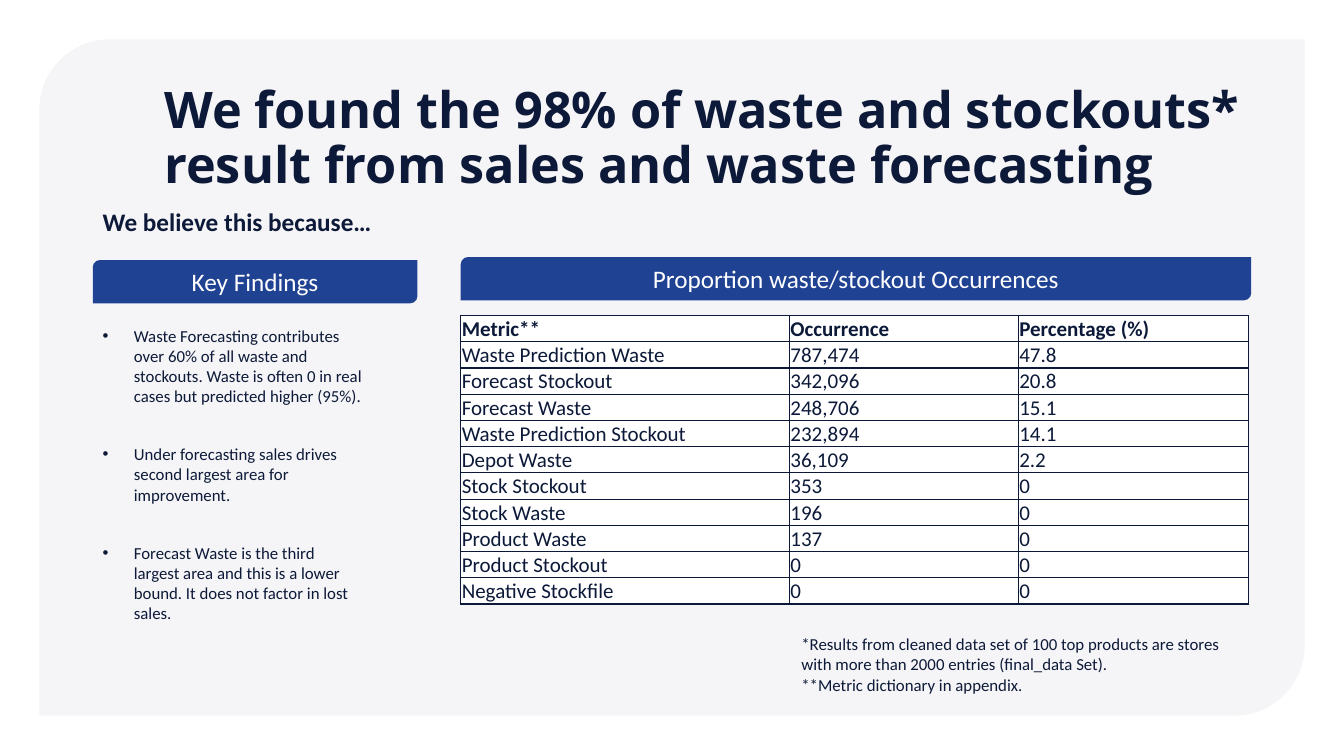
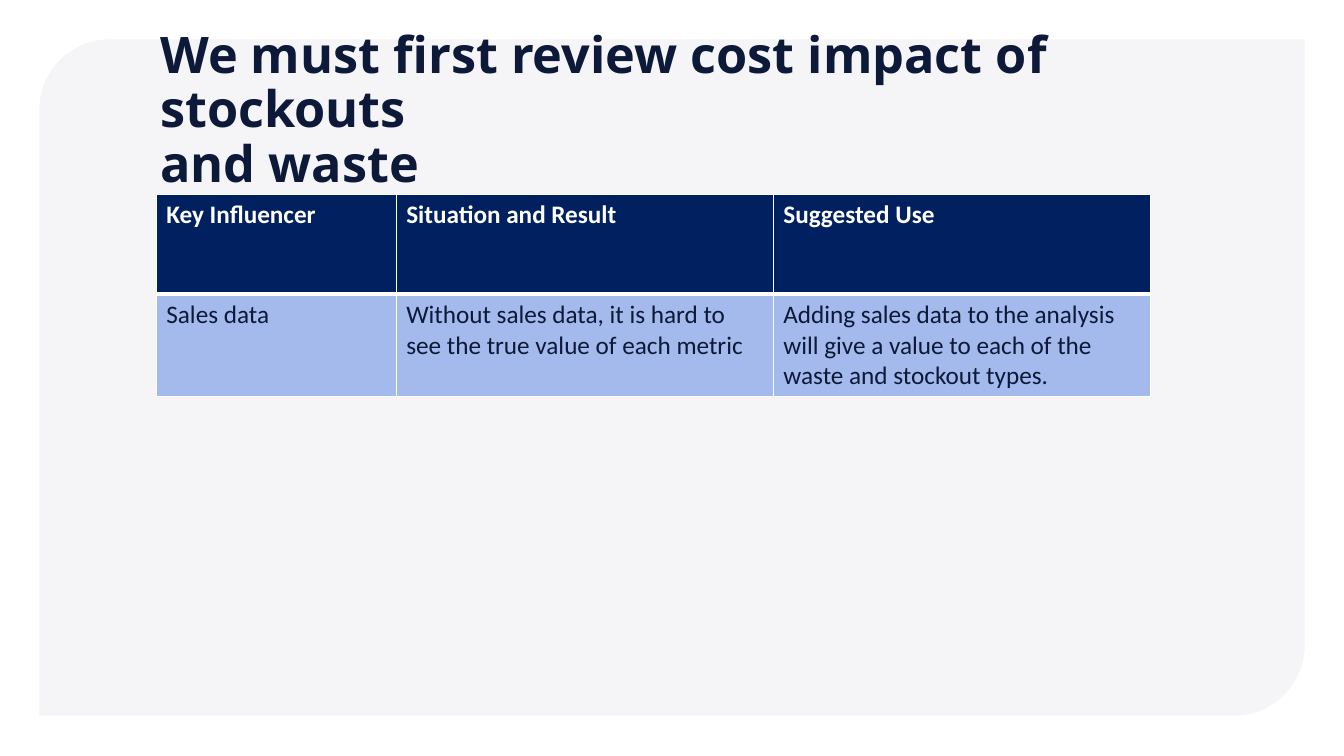
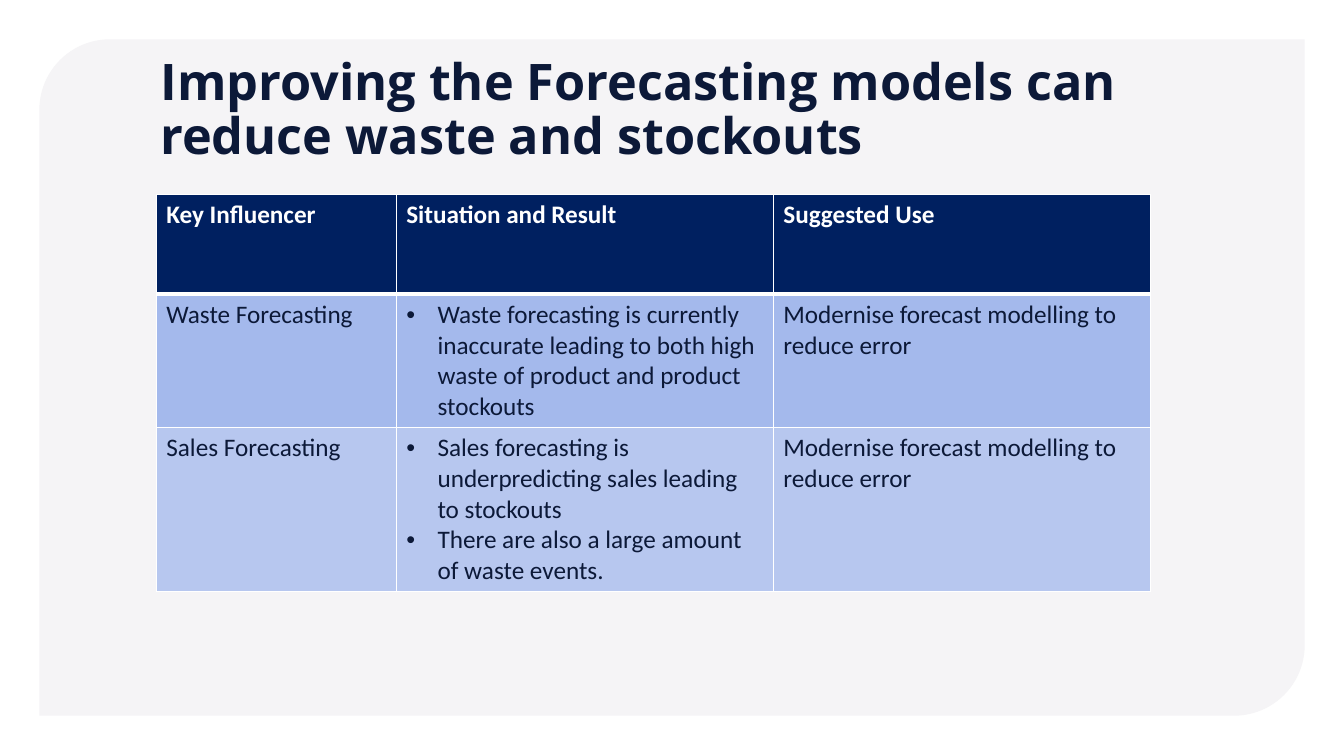
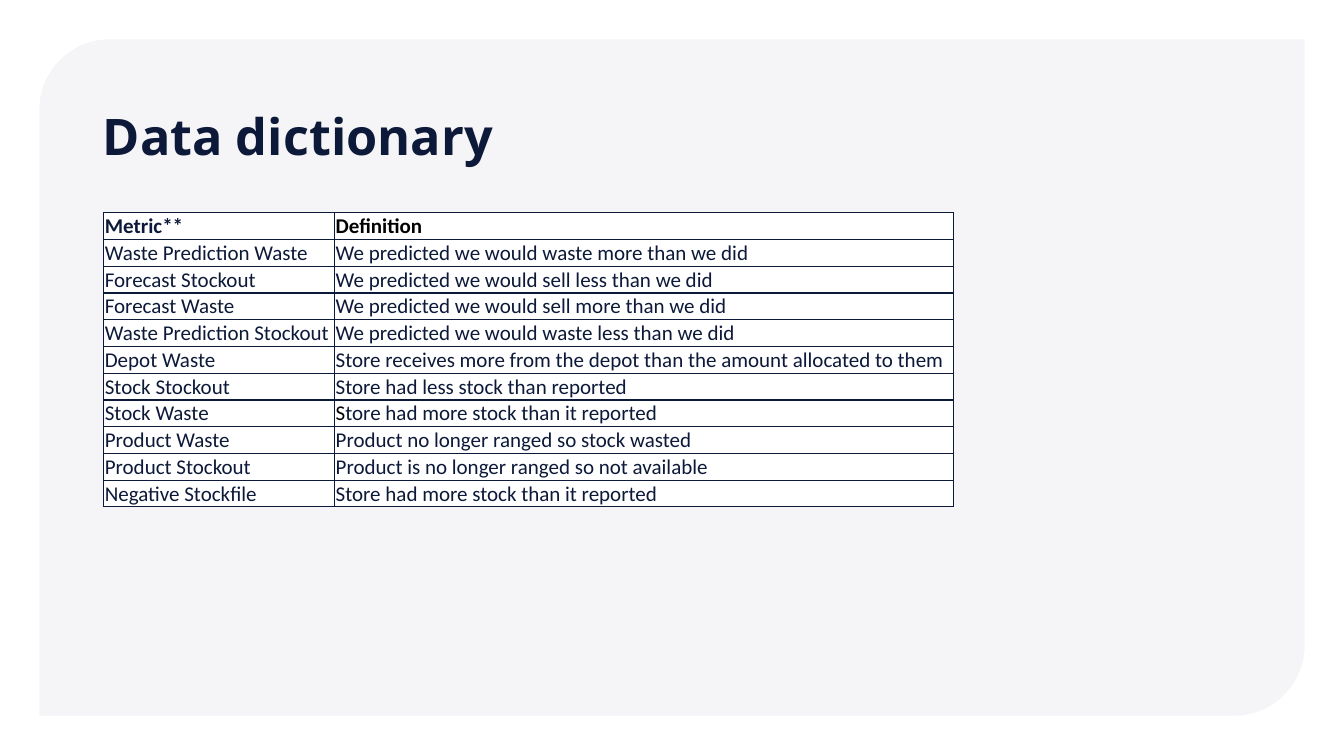
from dataclasses import dataclass
from typing import NamedTuple

from lxml.etree import SubElement
from pptx import Presentation
from pptx.dml.color import RGBColor
from pptx.enum.shapes import MSO_SHAPE
from pptx.enum.text import MSO_ANCHOR, MSO_AUTO_SIZE, PP_ALIGN
from pptx.oxml.ns import qn
from pptx.presentation import Presentation as Deck
from pptx.shapes.autoshape import Shape
from pptx.slide import Slide
from pptx.text.text import TextFrame
from pptx.util import Emu, Pt

PX = 9144  # 100 px to the inch


@dataclass(frozen=True)
class Theme:
    ink: str = "0C1938"
    black: str = "000000"
    white: str = "FFFFFF"
    panel: str = "F5F4F6"
    tab: str = "204293"
    head: str = "002060"
    bands: tuple[str, ...] = ("A4B9EC", "B7C7EF")
    face: str = "Open Sans"
    body: str = "Calibri"
    title: int = 36
    large: int = 18
    cell: int = 15
    small: int = 12


T = Theme()


class Box(NamedTuple):
    x: int
    y: int
    w: int
    h: int

    def emu(self) -> list[Emu]:
        return [px(v) for v in self]


class Run(NamedTuple):
    text: str
    color: str | None = None


# A paragraph is a string or a tuple of runs; a list holds paragraphs
Para = str | tuple[Run, ...]
Text = Para | list[Para]


@dataclass(frozen=True)
class Look:
    """Format of one kind of table."""
    size: int
    head: str
    title: str  # header text colour
    bands: tuple[str, ...]
    edge: str
    rule: int  # line under the header, in points
    pad: tuple[int, int, int, int]
    anchor: MSO_ANCHOR
    align: PP_ALIGN


GRID = Look(T.cell, T.white, T.ink, (T.white,), T.ink, 1, (1, 1, 1, 0),
            MSO_ANCHOR.BOTTOM, PP_ALIGN.JUSTIFY)
BAND = Look(T.large, T.head, T.white, T.bands, T.white, 3, (10, 5, 10, 5),
            MSO_ANCHOR.TOP, PP_ALIGN.LEFT)


def px(n: int) -> Emu:
    return Emu(n * PX)


def rgb(code: str) -> RGBColor:
    return RGBColor.from_string(code)


# Text
def put(frame: TextFrame, text: Text, *, size: int = T.small, font: str = T.body,
        color: str = T.ink, bold: bool = False, align: PP_ALIGN = PP_ALIGN.LEFT,
        anchor: MSO_ANCHOR = MSO_ANCHOR.TOP, line: float | None = None,
        after: int = 0, bullet: bool = False) -> None:
    frame.word_wrap = True
    frame.vertical_anchor = anchor
    paras = text if isinstance(text, list) else [text]
    for n, item in enumerate(paras):
        para = frame.add_paragraph() if n else frame.paragraphs[0]
        para.alignment = align
        para.space_before, para.space_after = Pt(0), Pt(after)
        if line:
            para.line_spacing = line
        if bullet:
            prop = para._p.get_or_add_pPr()
            prop.set("marL", str(px(31)))
            prop.set("indent", str(px(-31)))
            SubElement(prop, qn("a:buFont"), typeface="Arial")
            SubElement(prop, qn("a:buChar"), char="•")
        for part in item if isinstance(item, tuple) else (Run(item),):
            run = para.add_run()
            run.text = part.text
            run.font.name, run.font.size, run.font.bold = font, Pt(size), bold
            run.font.color.rgb = rgb(part.color or color)


def note(page: Slide, box: Box, text: Text, *, bold: bool = False,
         size: int = T.small, after: int = 0, bullet: bool = False) -> None:
    frame = page.shapes.add_textbox(*box.emu()).text_frame
    put(frame, text, size=size, bold=bold, after=after, bullet=bullet)


# Shapes
def plate(page: Slide, box: Box, color: str) -> Shape:
    shape = page.shapes.add_shape(MSO_SHAPE.ROUND_2_DIAG_RECTANGLE, *box.emu())
    shape.shadow.inherit = False
    shape.fill.solid()
    shape.fill.fore_color.rgb = rgb(color)
    shape.line.fill.background()
    return shape


def tab(page: Slide, box: Box, text: str) -> None:
    put(plate(page, box, T.tab).text_frame, text, size=T.large, color=T.white,
        align=PP_ALIGN.CENTER, anchor=MSO_ANCHOR.MIDDLE)


# Tables
def table(page: Slide, x: int, y: int, cols: tuple[int, ...],
          highs: tuple[int, ...], rows: list[tuple[Text, ...]], look: Look) -> None:
    box = Box(x, y, sum(cols), sum(highs))
    grid = page.shapes.add_table(len(rows), len(cols), *box.emu()).table
    grid.horz_banding = False
    for col, wide in zip(grid.columns, cols):
        col.width = px(wide)
    for r, (row, high) in enumerate(zip(rows, highs)):
        grid.rows[r].height = px(high)
        top = r == 0
        fill = look.head if top else look.bands[(r - 1) % len(look.bands)]
        for c, text in enumerate(row):
            cell = grid.cell(r, c)
            (cell.margin_left, cell.margin_top, cell.margin_right,
             cell.margin_bottom) = map(px, look.pad)
            put(cell.text_frame, text, size=look.size, bold=top, align=look.align,
                color=look.title if top else T.ink, bullet=isinstance(text, list))
            cell.vertical_anchor = look.anchor
            prop = cell._tc.get_or_add_tcPr()
            for side in "LRTB":
                rule = (side == "B" and top) or (side == "T" and r == 1)
                wide = Pt(look.rule if rule else 1)
                edge = SubElement(prop, qn(f"a:ln{side}"), w=str(wide))
                paint = SubElement(edge, qn("a:solidFill"))
                SubElement(paint, qn("a:srgbClr"), val=look.edge)
            cell.fill.solid()
            cell.fill.fore_color.rgb = rgb(fill)


# Pages
def start(deck: Deck, x: int, y: int, text: Text) -> Slide:
    page = deck.slides.add_slide(deck.slide_layouts[5])
    title = page.shapes.title
    title.left, title.top, title.width, title.height = Box(x, y, 1153, 145).emu()
    frame = title.text_frame
    frame.auto_size = MSO_AUTO_SIZE.NONE
    frame.margin_left, frame.margin_right = px(10), px(24)
    put(frame, text, size=T.title, font=T.face, bold=True, line=0.9,
        anchor=MSO_ANCHOR.MIDDLE)
    return page


def share(page: Slide) -> None:
    """Draw the panel and move it to the layout that all pages use."""
    panel = plate(page, Box(39, 39, 1255, 671), T.panel)
    panel.adjustments[0] = 70 / 671
    page.slide_layout.shapes.element.insert(2, panel.element)


METRICS = ("Waste Prediction Waste", "Forecast Stockout", "Forecast Waste",
           "Waste Prediction Stockout", "Depot Waste", "Stock Stockout",
           "Stock Waste", "Product Waste", "Product Stockout", "Negative Stockfile")
COUNTS = ("787,474", "342,096", "248,706", "232,894", "36,109",
          "353", "196", "137", "0", "0")
SHARES = ("47.8", "20.8", "15.1", "14.1", "2.2", "0", "0", "0", "0", "0")
MEANS: tuple[Para, ...] = (
    "We predicted we would waste more than we did",
    "We predicted we would sell less than we did",
    "We predicted we would sell more than we did",
    "We predicted we would waste less than we did",
    "Store receives more from the depot than the amount allocated to them",
    "Store had less stock than reported",
    (Run("S", T.black), Run("tore had more stock than it reported")),
    "Product no longer ranged so stock wasted",
    "Product is no longer ranged so not available",
    "Store had more stock than it reported",
)
LINES = (26,) * (len(METRICS) + 1)
REMEDY = "Modernise forecast modelling to reduce error"


def found(deck: Deck) -> None:
    page = start(deck, 153, 66, "We found the 98% of waste and stockouts* "
                 "result from sales and waste forecasting")
    share(page)
    note(page, Box(92, 200, 590, 40), "We believe this because…",
         size=T.large, bold=True)
    tab(page, Box(92, 258, 322, 43), "Key Findings")
    note(page, Box(92, 318, 277, 326), [
        "Waste Forecasting contributes over 60% of all waste and stockouts. "
        "Waste is often 0 in real cases but predicted higher (95%).",
        "Under forecasting sales drives second largest area for improvement.",
        "Forecast Waste is the third largest area and this is a lower bound. "
        "It does not factor in lost sales.",
    ], after=27, bullet=True)
    note(page, Box(785, 624, 452, 71), [
        "*Results from cleaned data set of 100 top products are stores "
        "with more than 2000 entries (final_data Set).",
        "**Metric dictionary in appendix.",
    ])
    tab(page, Box(457, 255, 784, 43), "Proportion waste/stockout Occurrences")
    table(page, 457, 313, (326, 227, 228), LINES,
          [("Metric**", "Occurrence", "Percentage (%)"),
           *zip(METRICS, COUNTS, SHARES)], GRID)


def advice(deck: Deck, title: Text, highs: tuple[int, ...],
           rows: list[tuple[Text, ...]]) -> None:
    page = start(deck, 149, 38, title)
    head = ("Key Influencer", "Situation and Result", "Suggested Use")
    table(page, 155, 193, (238, 374, 374), highs, [head, *rows], BAND)


def terms(deck: Deck) -> None:
    page = start(deck, 92, 66, "Data dictionary")
    head = ("Metric**", (Run("Definition", T.black),))
    table(page, 103, 211, (229, 614), LINES, [head, *zip(METRICS, MEANS)], GRID)


def main() -> None:
    deck = Presentation()
    deck.slide_width, deck.slide_height = px(1333), px(750)
    found(deck)
    advice(deck, ["We must first review cost impact of stockouts", "and waste"],
           (99, 99), [
        ("Sales data",
         "Without sales data, it is hard to see the true value of each metric",
         "Adding sales data to the analysis will give a value to each of the "
         "waste and stockout types."),
    ])
    advice(deck, "Improving the Forecasting models can reduce waste and stockouts",
           (99, 130, 160), [
        ("Waste Forecasting",
         ["Waste forecasting is currently inaccurate leading to both high "
          "waste of product and product stockouts"], REMEDY),
        ("Sales Forecasting",
         ["Sales forecasting is underpredicting sales leading to stockouts",
          "There are also a large amount of waste events."], REMEDY),
    ])
    terms(deck)
    deck.save("out.pptx")


if __name__ == "__main__":
    main()
